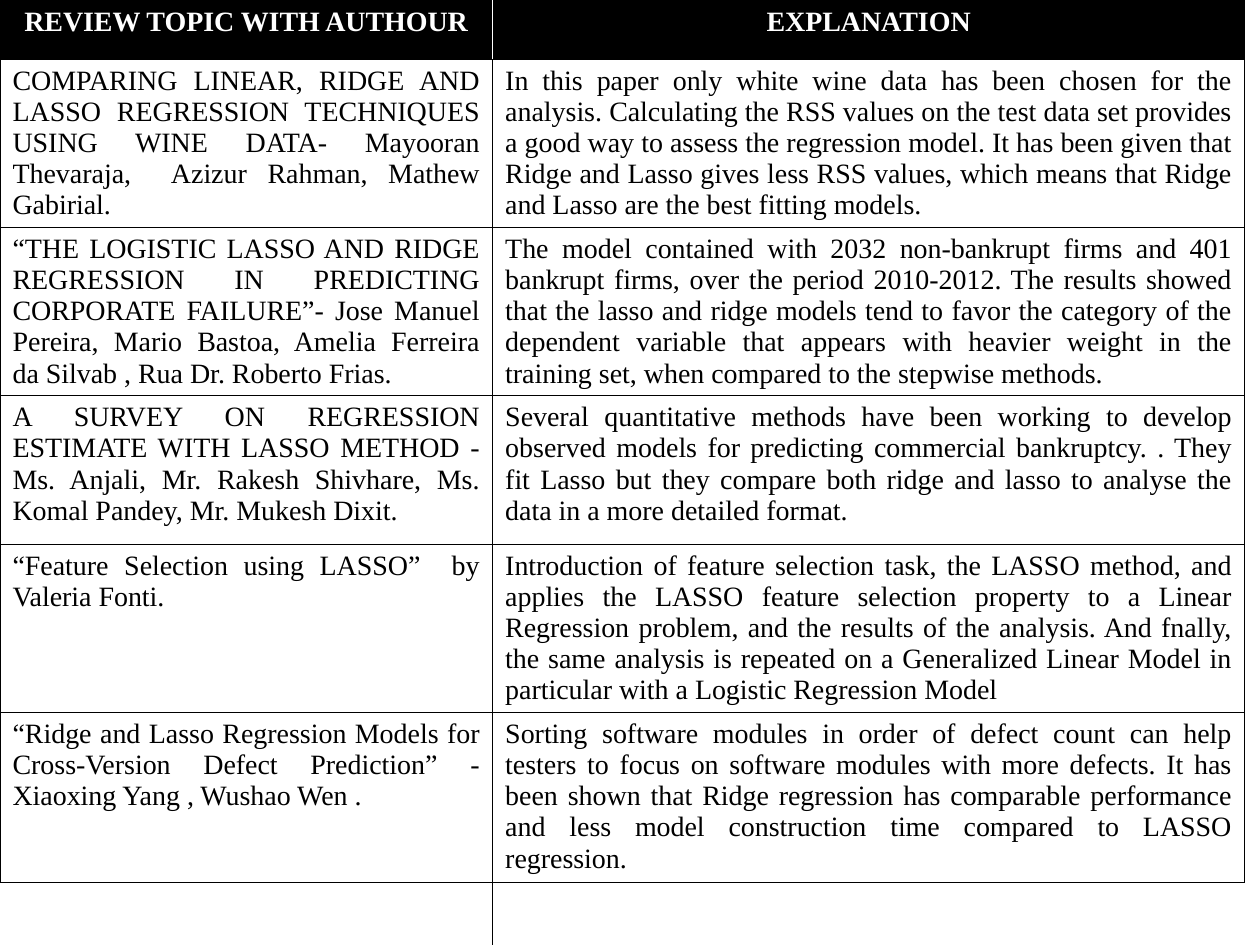
from lxml.etree import SubElement
from pptx import Presentation
from pptx.dml.color import RGBColor
from pptx.enum.shapes import MSO_CONNECTOR
from pptx.enum.text import PP_ALIGN
from pptx.oxml import parse_xml
from pptx.oxml.ns import nsdecls, qn
from pptx.util import Inches, Pt

theme = {
    "font": "Times New Roman",
    "size": Pt(16),
    "rule": Pt(0.75),
    "dark": "000000",
    "light": "FFFFFF",
}
cols = [3.91, 5.97]
rows = [0.47, 1.17, 1.18, 1.18, 1.18, 1.35]

papers = [
    ("REVIEW TOPIC WITH AUTHOUR", "EXPLANATION"),
    ("COMPARING LINEAR, RIDGE AND LASSO REGRESSION TECHNIQUES USING WINE DATA- "
     "Mayooran Thevaraja,  Azizur Rahman, Mathew Gabirial.",
     "In this paper only white wine data has been chosen for the analysis. "
     "Calculating the RSS values on the test data set provides a good way to "
     "assess the regression model. It has been given that Ridge and Lasso gives "
     "less RSS values, which means that Ridge and Lasso are the best fitting models."),
    ("“THE LOGISTIC LASSO AND RIDGE REGRESSION IN PREDICTING CORPORATE FAILURE”- "
     "Jose Manuel Pereira, Mario Bastoa, Amelia Ferreira da Silvab , "
     "Rua Dr. Roberto Frias.",
     "The model contained with 2032 non-bankrupt firms and 401 bankrupt firms, "
     "over the period 2010-2012. The results showed that the lasso and ridge "
     "models tend to favor the category of the dependent variable that appears "
     "with heavier weight in the training set, when compared to the stepwise methods."),
    ("A SURVEY ON REGRESSION ESTIMATE WITH LASSO METHOD - Ms. Anjali, "
     "Mr. Rakesh Shivhare, Ms. Komal Pandey, Mr. Mukesh Dixit.",
     "Several quantitative methods have been working to develop observed models "
     "for predicting commercial bankruptcy. . They fit Lasso but they compare "
     "both ridge and lasso to analyse the data in a more detailed format."),
    ("“Feature Selection using LASSO”  by Valeria Fonti.",
     "Introduction of feature selection task, the LASSO method, and applies the "
     "LASSO feature selection property to a Linear Regression problem, and the "
     "results of the analysis. And fnally, the same analysis is repeated on a "
     "Generalized Linear Model in particular with a Logistic Regression Model"),
    ("“Ridge and Lasso Regression Models for Cross-Version Defect Prediction” - "
     "Xiaoxing Yang , Wushao Wen .",
     "Sorting software modules in order of defect count can help testers to focus "
     "on software modules with more defects. It has been shown that Ridge "
     "regression has comparable performance and less model construction time "
     "compared to LASSO regression."),
]


def frame(cell):
    """Rule all four sides of a cell; borders go before the fill."""
    props = cell._tc.get_or_add_tcPr()
    for i, side in enumerate(("lnL", "lnR", "lnT", "lnB")):
        props.insert(i, parse_xml(
            f'<a:{side} {nsdecls("a")} w="{theme["rule"]}"><a:solidFill>'
            f'<a:srgbClr val="{theme["dark"]}"/></a:solidFill></a:{side}>'))


deck = Presentation()
deck.slide_width, deck.slide_height = Inches(10), Inches(7.5)
slide = deck.slides.add_slide(deck.slide_layouts[6])

# Review table
table = slide.shapes.add_table(
    len(rows), len(cols), 0, 0, Inches(sum(cols)), Inches(sum(rows))).table
table.horz_banding = False
for col, width in zip(table.columns, cols):
    col.width = Inches(width)
for row, height in zip(table.rows, rows):
    row.height = Inches(height)

for r, paper in enumerate(papers):
    head = r == 0
    for c, text in enumerate(paper):
        cell = table.cell(r, c)
        if head:
            cell.fill.solid()
            cell.fill.fore_color.rgb = RGBColor.from_string(theme["dark"])
        else:
            cell.fill.background()
        frame(cell)
        cell.text_frame.text = text
        para = cell.text_frame.paragraphs[0]
        para.alignment = PP_ALIGN.CENTER if head else PP_ALIGN.JUSTIFY
        font = para.runs[0].font
        font.name, font.size, font.bold = theme["font"], theme["size"], head
        font.color.rgb = RGBColor.from_string(theme["light" if head else "dark"])

# Column divider: black down the slide, white across the header
split = Inches(cols[0])
for end, tone in ((deck.slide_height, "dark"), (Inches(rows[0]), "light")):
    line = slide.shapes.add_connector(MSO_CONNECTOR.STRAIGHT, split, 0, split, end)
    line.line.width = theme["rule"]
    line.line.color.rgb = RGBColor.from_string(theme[tone])
    SubElement(line._element.spPr, qn("a:effectLst"))

deck.save("out.pptx")
